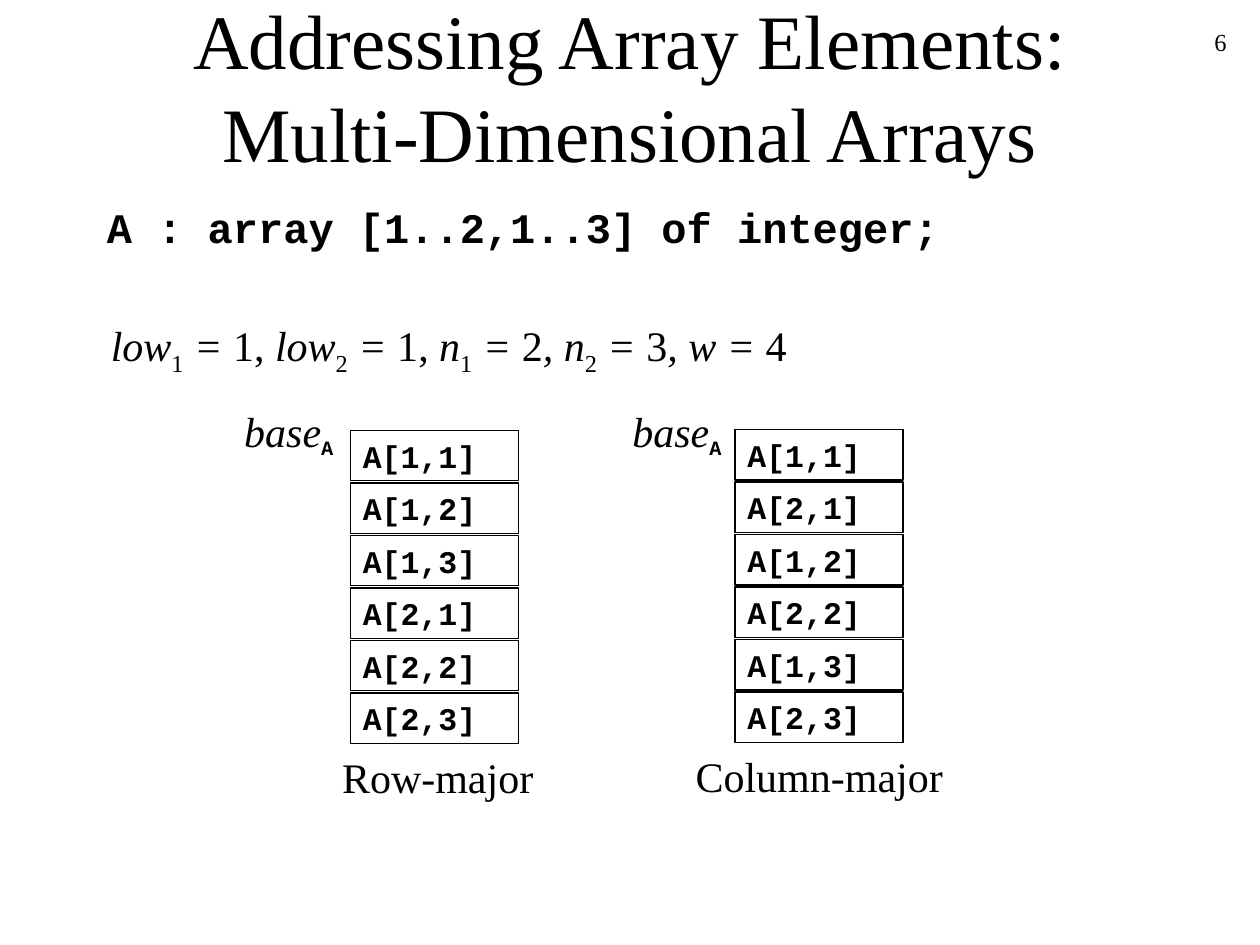
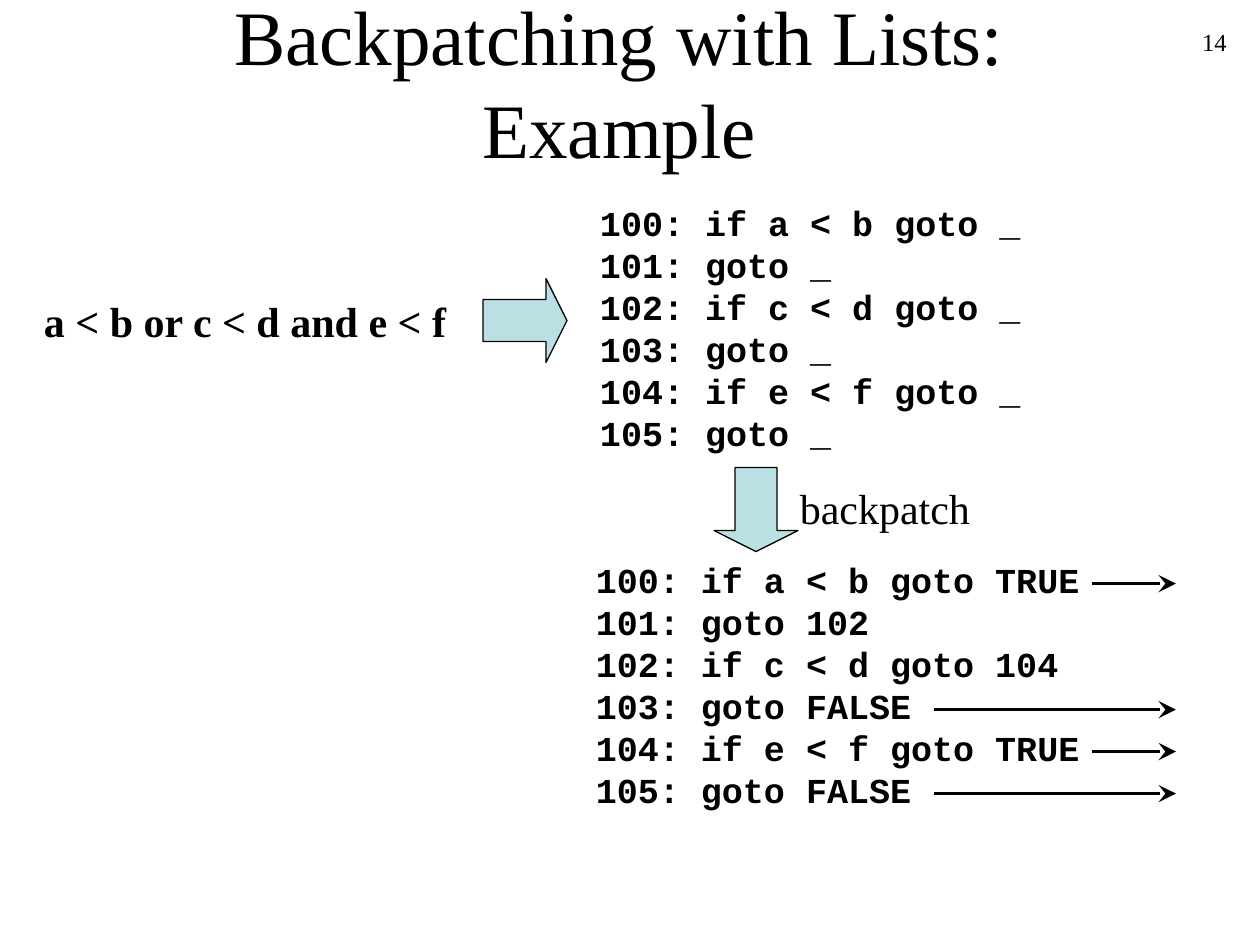
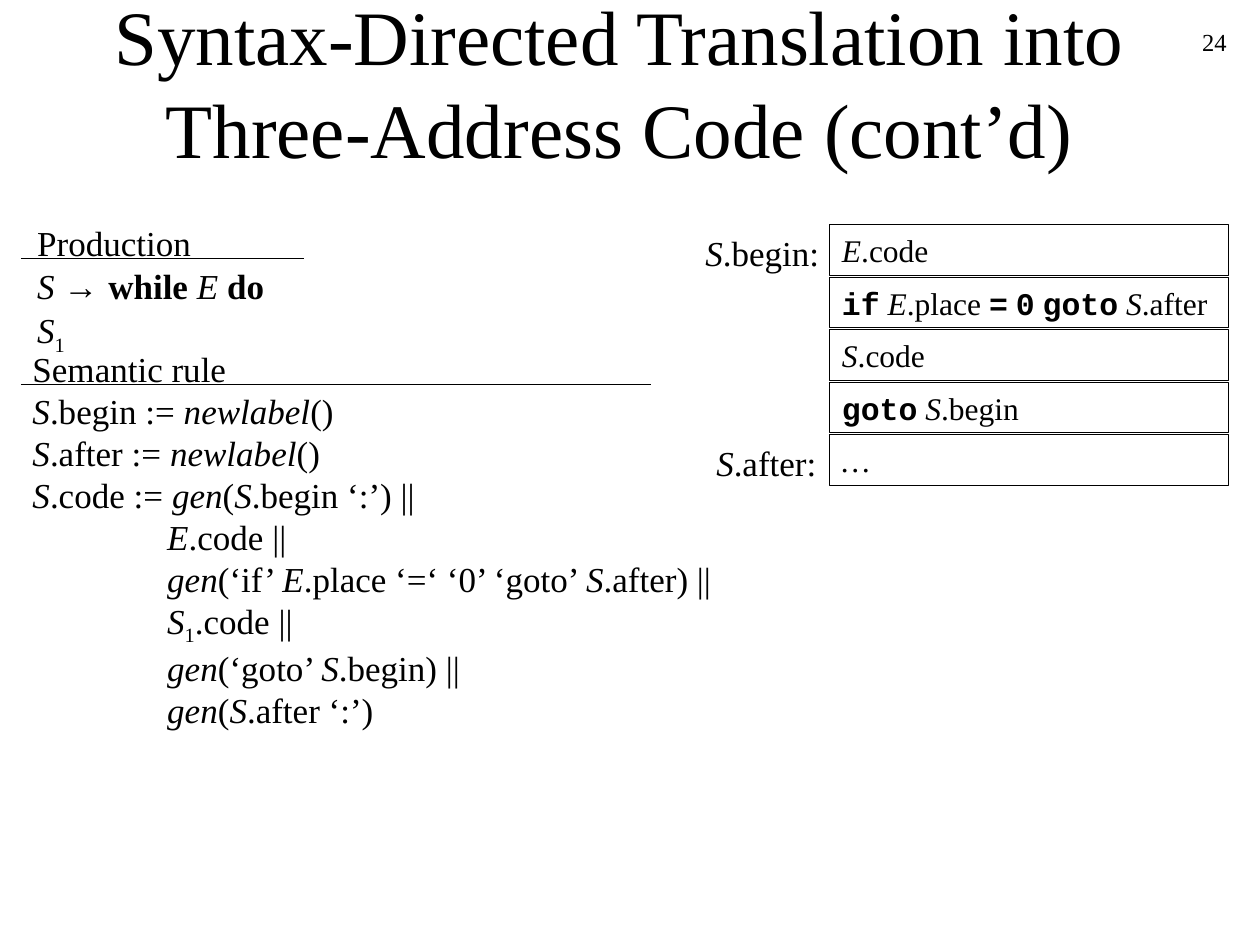
import pptx
import pptx.dml.color
import pptx.enum.shapes
import pptx.enum.text
import pptx.oxml
import pptx.oxml.ns
import pptx.util
from lxml import etree

Pt = pptx.util.Pt
SHAPES = pptx.enum.shapes.MSO_SHAPE
ALIGN = pptx.enum.text.PP_ALIGN
ANCHOR = pptx.enum.text.MSO_ANCHOR

BLACK, PALE_TEAL = "000000", "BBE0E3"
SERIF, MONO = "Times New Roman", "Courier New"


def paint(color_format, hex_string):
    color_format.rgb = pptx.dml.color.RGBColor.from_string(hex_string)


def add_text(slide, place, lines, size, boxed=False):
    """Each line is a list of (text, style) runs.

    Styles: i italic, b bold, s subscript, c bold code, a Arial.
    """
    place = [Pt(length) for length in place]
    if boxed:
        holder = slide.shapes.add_shape(SHAPES.RECTANGLE, *place)
        holder.shadow.inherit = False
        holder.fill.background()
        paint(holder.line.color, BLACK)
        holder.line.width = Pt(0.75)
    else:
        holder = slide.shapes.add_textbox(*place)
    frame = holder.text_frame
    frame.word_wrap = True
    frame.vertical_anchor = ANCHOR.TOP
    for index, line in enumerate(lines):
        paragraph = frame.paragraphs[0] if index == 0 else frame.add_paragraph()
        paragraph.alignment = ALIGN.LEFT
        paragraph.line_spacing = Pt(size * 1.2)
        for text, style in line:
            run = paragraph.add_run()
            run.text = text
            run.font.size = Pt(size)
            run.font.name = MONO if "c" in style else "Arial" if "a" in style else SERIF
            run.font.bold = "b" in style or "c" in style
            run.font.italic = "i" in style
            paint(run.font.color, BLACK)
            if "s" in style:
                run.font._element.set("baseline", "-25000")
    return frame


presentation = pptx.Presentation()
presentation.slide_width, presentation.slide_height = Pt(720), Pt(540)

# Titles and page numbers
slides = []
for heading, page, left, top in [
    ("Addressing Array Elements: Multi-Dimensional Arrays", "6", 54, 3.6),
    ("Backpatching with Lists: Example", "14", 48, 1.5),
    ("Syntax-Directed Translation into Three-Address Code (cont’d)", "24", 48, 1.5),
]:
    slide = presentation.slides.add_slide(presentation.slide_layouts[5])
    slides.append(slide)
    title = slide.shapes.title
    title.left, title.top, title.width, title.height = Pt(left), Pt(top), Pt(612), Pt(90)
    title.text_frame.text = heading
    title.text_frame.auto_size = pptx.enum.text.MSO_AUTO_SIZE.NONE
    title.text_frame.vertical_anchor = ANCHOR.MIDDLE
    paragraph = title.text_frame.paragraphs[0]
    paragraph.alignment = ALIGN.CENTER
    paragraph.line_spacing = Pt(52.8)
    font = paragraph.runs[0].font
    font.name, font.size = SERIF, Pt(44)
    paint(font.color, BLACK)
    number = add_text(slide, (558, 12, 150, 36), [[(page, "")]], 14)
    number.paragraphs[0].alignment = ALIGN.RIGHT
arrays, backpatching, translation = slides

# Array declaration and its parameters
add_text(arrays, (54, 111.6, 490, 36), [[("A : array [1..2,1..3] of integer;", "c")]], 24)
add_text(arrays, (56.2, 183.3, 420, 36), [[
    ("low", "i"), ("1", "s"), (" = ", "i"), ("1, ", ""),
    ("low", "i"), ("2", "s"), (" = ", "i"), ("1,", ""),
    (" n", "i"), ("1", "s"), (" = ", "i"), ("2", ""),
    (", n", "i"), ("2", "s"), (" = ", "i"), ("3", ""),
    (", w = ", "i"), ("4", ""),
]], 24)

# Memory layouts
row_major = [(row, column) for row in (1, 2) for column in (1, 2, 3)]
column_major = [(row, column) for column in (1, 2, 3) for row in (1, 2)]
for order, left, top, base_left, caption, caption_left, caption_width in [
    (row_major, 200.2, 246, 132.5, "Row-major", 188.4, 124),
    (column_major, 420, 245.5, 354.3, "Column-major", 390.4, 156),
]:
    for index, (row, column) in enumerate(order):
        add_text(arrays, (left, top + 30 * index, 96, 28.8),
                 [[(f"A[{row},{column}]", "c")]], 18, boxed=True)
    add_text(arrays, (caption_left, top + 180, caption_width, 36), [[(caption, "")]], 24)
    base = add_text(arrays, (base_left, 230.4, 67, 39), [[("base", "i"), ("A", "cs")]], 24)
    base.paragraphs[0].runs[1].font.size = Pt(20)

# Code before and after backpatching
add_text(backpatching, (18, 165.6, 246, 36), [[("a < b or c < d and e < f", "b")]], 24)
add_text(backpatching, (450, 272.2, 114, 36), [[("backpatch", "")]], 24)
statements = ["if a < b goto", "goto", "if c < d goto", "goto", "if e < f goto", "goto"]
filled_targets = ["TRUE", "102", "104", "FALSE", "TRUE", "FALSE"]
for left, top, width, targets in [
    (335.8, 111.6, 258, ["_"] * 6),
    (333.4, 315.5, 293, filled_targets),
]:
    code = [[(f"{100 + index}: {statement} {target}", "c")]
            for index, (statement, target) in enumerate(zip(statements, targets))]
    add_text(backpatching, (left, top, width, 151.2), code, 20)

for left, top, rotation in [(276, 159.2, 0), (408, 267.2, 90)]:
    step = backpatching.shapes.add_shape(SHAPES.RIGHT_ARROW, Pt(left), Pt(top), Pt(48), Pt(48))
    step.shadow.inherit = False
    step.rotation = rotation
    step.adjustments[0], step.adjustments[1] = 0.5, 0.25
    step.fill.solid()
    paint(step.fill.fore_color, PALE_TEAL)
    paint(step.line.color, BLACK)
    step.line.width = Pt(0.75)

# Production and semantic rule
production = add_text(translation, (14.2, 122.8, 160.5, 79.2), [
    [("Production", "")],
    [("S ", "i"), ("→ ", "a"), ("while ", "b"), ("E ", "i"), ("do ", "b"),
     ("S", "i"), ("1", "s")],
], 20)
production.paragraphs[1].line_spacing = 1.04
rule = add_text(translation, (11.5, 194.8, 412, 226.8), [
    [("Semantic rule", "")],
    [("S", "i"), (".begin := ", ""), ("newlabel", "i"), ("()", "")],
    [("S", "i"), (".after := ", ""), ("newlabel", "i"), ("()", "")],
    [("S", "i"), (".code := ", ""), ("gen", "i"), ("(", ""), ("S", "i"), (".begin ‘:’) ||", "")],
    [("E", "i"), (".code ||", "")],
    [("gen", "i"), ("(‘if’ ", ""), ("E", "i"), (".place ‘=‘ ‘0’ ‘goto’ ", ""),
     ("S", "i"), (".after) ||", "")],
    [("S", "i"), ("1", "s"), (".code ||", "")],
    [("gen", "i"), ("(‘goto’ ", ""), ("S", "i"), (".begin) ||", "")],
    [("gen", "i"), ("(", ""), ("S", "i"), (".after ‘:’)", "")],
], 20)
for continuation in rule.paragraphs[4:]:
    continuation._p.get_or_add_pPr().set("marL", str(Pt(77)))
rule.paragraphs[6].space_before = Pt(3.2)

# Layout of the generated code
for index, content in enumerate([
    [("E", "i"), (".code", "")],
    [("if", "c"), (" E", "i"), (".place ", ""), ("=", "c"), (" ", ""), ("0", "c"), (" ", ""),
     ("goto", "c"), (" S", "i"), (".after", "")],
    [("S", "i"), (".code", "")],
    [("goto", "c"), (" S", "i"), (".begin", "")],
    [("…", "i")],
]):
    add_text(translation, (474, 128.5 + 30 * index, 228, 28.8), [content], 18, boxed=True)
for label, left, top in [(".begin:", 396, 129), (".after:", 402.2, 248.5)]:
    add_text(translation, (left, top, 84, 31.7), [[("S", "i"), (label, "")]], 20)

# Jump arrows beside the code lines, and rules under the headings
jumps = [(backpatching, 624 if target == "TRUE" else 534, 672, 333.5 + 24 * index, 2)
         for index, target in enumerate(filled_targets) if not target.isdigit()]
underlines = [(translation, 12, 174, 147.6, 0.75), (translation, 12, 372, 219.6, 0.75)]
for slide, start, end, height, weight in jumps + underlines:
    line = slide.shapes.add_connector(pptx.enum.shapes.MSO_CONNECTOR.STRAIGHT,
                                      Pt(start), Pt(height), Pt(end), Pt(height))
    paint(line.line.color, BLACK)
    line.line.width = Pt(weight)
    if slide is backpatching:
        etree.SubElement(line.line._get_or_add_ln(), pptx.oxml.ns.qn("a:tailEnd"),
                         type="stealth", w="lg", len="lg")
    etree.SubElement(line._element.spPr, pptx.oxml.ns.qn("a:effectLst"))

presentation.save("out.pptx")
